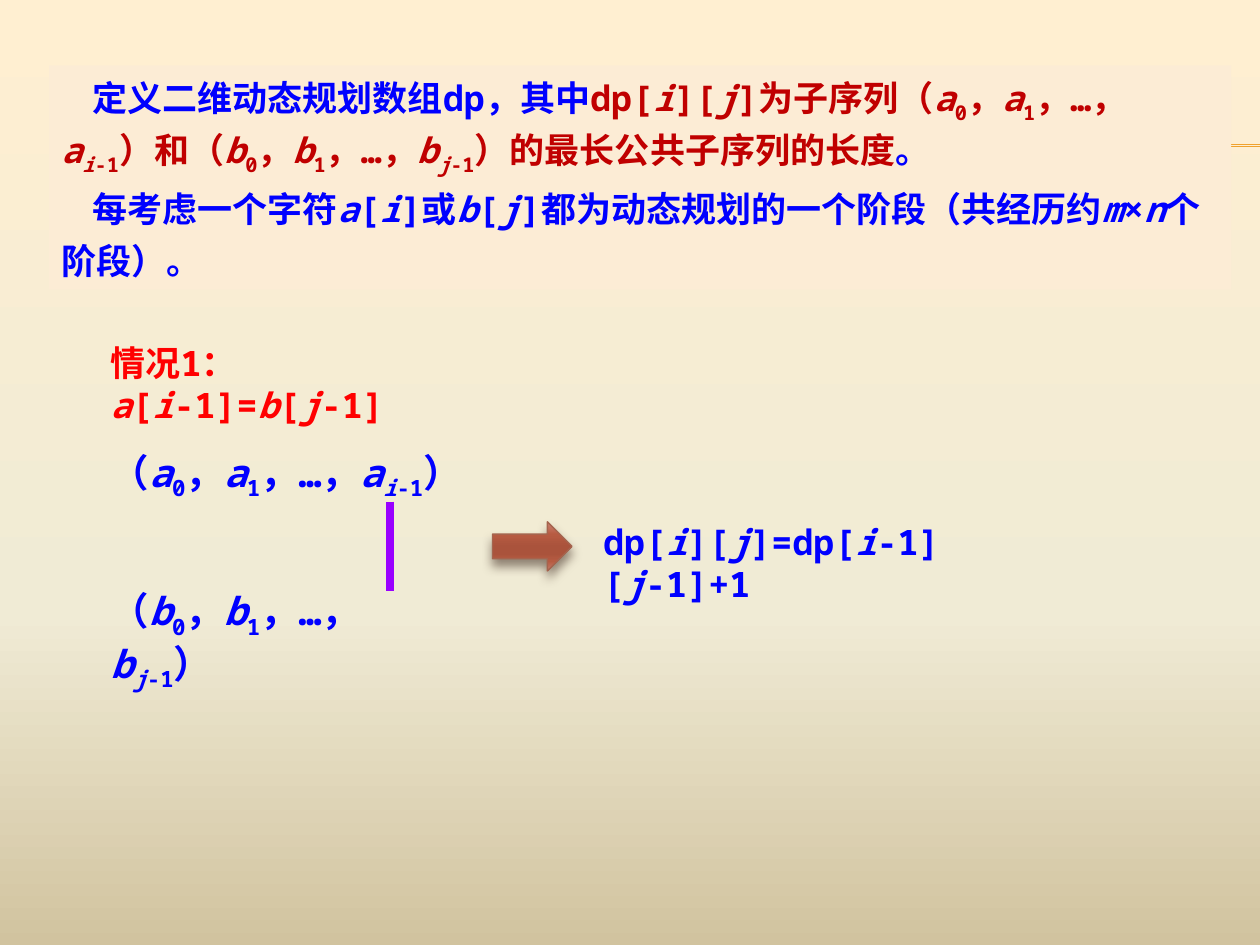
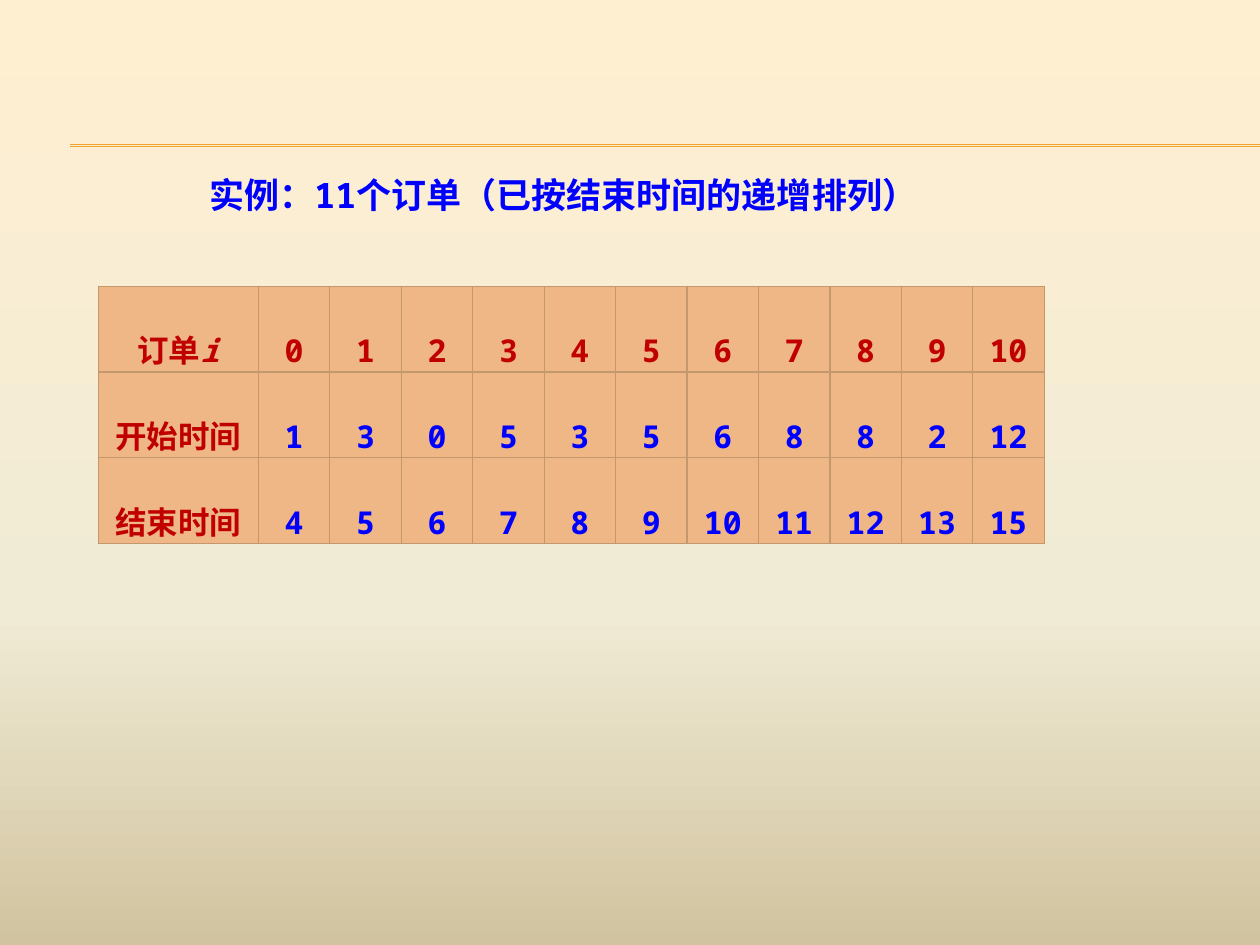
from dataclasses import dataclass

from lxml.etree import SubElement
from pptx import Presentation
from pptx.dml.color import RGBColor
from pptx.enum.shapes import MSO_CONNECTOR, MSO_SHAPE
from pptx.enum.text import MSO_ANCHOR, MSO_AUTO_SIZE, PP_ALIGN
from pptx.oxml.ns import qn
from pptx.util import Cm, Pt


@dataclass(frozen=True)
class Theme:
    font: str = "Noto Sans Mono"
    blue: str = "0000FF"
    dark_red: str = "C00000"
    red: str = "FF0000"
    purple: str = "9900FF"
    gold: str = "F0A22E"
    panel: str = "FCECD5"
    cell: str = "EFB686"
    cell_border: str = "C3986D"
    arrow_line: str = "A5644E"
    shadow: str = "4E3B30"
    backdrop: tuple = ((0, "FFEFD1"), (65, "F0EBD5"), (100, "D1C39F"))
    arrow: tuple = ((0, "CD8473"), (25, "B75B42"), (50, "AA533C"),
                    (65, "AA533C"), (80, "B65B42"), (100, "C77D6B"))
    body: int = 20
    sequence: int = 22
    table: int = 18


THEME = Theme()

# Markup: *italic*, _subscript_, |accent colour|
DEFINITION = [
    "定义二维动态规划数组dp，其中|dp[*i*][*j*]为子序列（*a*_0_，*a*_1_，…，*a*_*i*-1_）"
    "和（*b*_0_，*b*_1_，…，*b*_*j*-1_）的最长公共子序列的长度|。",
    "每考虑一个字符*a*[*i*]或*b*[*j*]都为动态规划的一个阶段（共经历约*m*×*n*个阶段）。",
]
DEFINITION_AREA = (0.99, 1.32, 23.83, 4.52)
CASE_TEXTS = [
    ("（*a*_0_，*a*_1_，…，*a*_*i*-1_）", (1.98, 8.92, 7.95, 1.19), THEME.sequence, THEME.blue),
    ("（*b*_0_，*b*_1_，…，*b*_*j*-1_）", (1.98, 11.71, 7.34, 1.19), THEME.sequence, THEME.blue),
    ("情况1：*a*[*i*-1]=*b*[*j*-1]", (1.98, 6.76, 8.33, 1.12), THEME.body, THEME.red),
    ("dp[*i*][*j*]=dp[*i*-1][*j*-1]+1", (11.91, 10.36, 9.53, 1.12), THEME.body, THEME.blue),
]
MATCH_BAR = (7.87, 10.11, 7.87, 11.91)
ARROW_AREA = (9.93, 10.52, 1.6, 0.99)

ORDERS_TITLE = "实例：11个订单（已按结束时间的递增排列）"
ORDERS_TITLE_AREA = (3.96, 3.38, 16.28, 1.12)
ORDERS = [
    ("订单*i*", range(11), THEME.dark_red),
    ("开始时间", (1, 3, 0, 5, 3, 5, 6, 8, 8, 2, 12), THEME.blue),
    ("结束时间", (4, 5, 6, 7, 8, 9, 10, 11, 12, 13, 15), THEME.blue),
]
ORDERS_LEFT, ORDERS_TOP = 1.98, 5.77
LABEL_WIDTH, VALUE_WIDTH, ROW_HEIGHT = 3.23, 1.44, 1.65

RULES = [(1.42, 2.92, 25.4, 2.92), (1.42, 2.95, 25.4, 2.95)]


def lengths(values):
    return [Cm(value) for value in values]


def paint(fill, color):
    fill.solid()
    fill.fore_color.rgb = RGBColor.from_string(color)


def paint_gradient(fill, element, stops):
    fill.gradient()
    fill.gradient_angle = 270
    stop_list = next(element.iter(qn("a:gsLst")))
    for stop in list(stop_list):
        stop_list.remove(stop)
    for position, color in stops:
        stop = SubElement(stop_list, qn("a:gs"), pos=str(position * 1000))
        SubElement(stop, qn("a:srgbClr"), val=color)


def spans_of(markup):
    flags = {"*": False, "_": False, "|": False}
    text = ""
    for letter in markup:
        if letter not in flags:
            text += letter
            continue
        if text:
            yield text, dict(flags)
        text = ""
        flags[letter] = not flags[letter]
    if text:
        yield text, flags


def write(frame, *markups, size=THEME.body, color=THEME.blue, accent=THEME.dark_red,
          align=PP_ALIGN.LEFT, spacing=None, indent=0):
    frame.word_wrap = True
    for index, markup in enumerate(markups):
        para = frame.add_paragraph() if index else frame.paragraphs[0]
        para.alignment = align
        para.line_spacing = spacing
        if indent:
            para._p.get_or_add_pPr().set("indent", str(Cm(indent)))
        for text, flags in spans_of(markup):
            span = para.add_run()
            span.text = text
            font = span.font
            font.name, font.size, font.bold = THEME.font, Pt(size), True
            font.italic = flags["*"]
            font.color.rgb = RGBColor.from_string(accent if flags["|"] else color)
            properties = span._r.get_or_add_rPr()
            SubElement(properties, qn("a:ea"), typeface=THEME.font)
            if flags["_"]:
                properties.set("baseline", "-25000")


def add_line(page, ends, color, width):
    line = page.shapes.add_connector(MSO_CONNECTOR.STRAIGHT, *lengths(ends))
    line.line.color.rgb = RGBColor.from_string(color)
    line.line.width = Pt(width)
    SubElement(line._element.spPr, qn("a:effectLst"))


def add_page(deck, layout_index):
    page = deck.slides.add_slide(deck.slide_layouts[layout_index])
    for ends in RULES:
        add_line(page, ends, THEME.gold, 0.75)
    return page


def add_shape(page, kind, area):
    shape = page.shapes.add_shape(kind, *lengths(area))
    shape.shadow.inherit = False
    return shape


def add_arrow(page):
    arrow = add_shape(page, MSO_SHAPE.RIGHT_ARROW, ARROW_AREA)
    paint_gradient(arrow.fill, arrow._element, THEME.arrow)
    arrow.line.color.rgb = RGBColor.from_string(THEME.arrow_line)
    arrow.line.width = Pt(0.79)
    effects = arrow._element.spPr.find(qn("a:effectLst"))
    shadow = SubElement(effects, qn("a:outerShdw"), blurRad=str(Pt(6)), dist=str(Pt(4)),
                        dir="5400000", rotWithShape="0")
    tint = SubElement(shadow, qn("a:srgbClr"), val=THEME.shadow)
    SubElement(tint, qn("a:alpha"), val="60000")


def style_cell(cell):
    properties = cell._tc.get_or_add_tcPr()
    for side in ("lnL", "lnR", "lnT", "lnB"):
        border = SubElement(properties, qn(f"a:{side}"), w=str(Pt(0.79)))
        SubElement(SubElement(border, qn("a:solidFill")), qn("a:srgbClr"), val=THEME.cell_border)
    paint(cell.fill, THEME.cell)
    cell.margin_left = cell.margin_right = Cm(0.18)
    cell.margin_top = cell.margin_bottom = 0


def build_recurrence(deck):
    page = add_page(deck, 6)
    panel = add_shape(page, MSO_SHAPE.RECTANGLE, DEFINITION_AREA)
    paint(panel.fill, THEME.panel)
    panel.line.fill.background()
    panel.text_frame.vertical_anchor = MSO_ANCHOR.TOP
    write(panel.text_frame, *DEFINITION, spacing=Pt(30), indent=0.62)
    for markup, area, size, color in CASE_TEXTS:
        box = page.shapes.add_textbox(*lengths(area))
        write(box.text_frame, markup, size=size, color=color)
    add_line(page, MATCH_BAR, THEME.purple, 4.5)
    add_arrow(page)


def build_orders(deck):
    page = add_page(deck, 5)
    title = page.shapes.title
    title.left, title.top, title.width, title.height = lengths(ORDERS_TITLE_AREA)
    title.text_frame.auto_size = MSO_AUTO_SIZE.NONE
    title.text_frame.vertical_anchor = MSO_ANCHOR.TOP
    write(title.text_frame, ORDERS_TITLE)

    widths = [LABEL_WIDTH] + [VALUE_WIDTH] * len(ORDERS[0][1])
    area = (ORDERS_LEFT, ORDERS_TOP, sum(widths), ROW_HEIGHT * len(ORDERS))
    table = page.shapes.add_table(len(ORDERS), len(widths), *lengths(area)).table
    table.first_row = table.horz_banding = False
    for column, width in zip(table.columns, widths):
        column.width = Cm(width)
    for row, (label, values, value_color) in zip(table.rows, ORDERS):
        row.height = Cm(ROW_HEIGHT)
        for index, (cell, text) in enumerate(zip(row.cells, [label, *values])):
            style_cell(cell)
            write(cell.text_frame, str(text), size=THEME.table, align=PP_ALIGN.CENTER,
                  color=value_color if index else THEME.dark_red, spacing=2.0)


def main():
    deck = Presentation()
    deck.slide_width, deck.slide_height = Cm(25.4), Cm(19.05)
    master = deck.slide_master
    paint_gradient(master.background.fill, master.element, THEME.backdrop)
    build_recurrence(deck)
    build_orders(deck)
    deck.save("out.pptx")


if __name__ == "__main__":
    main()
